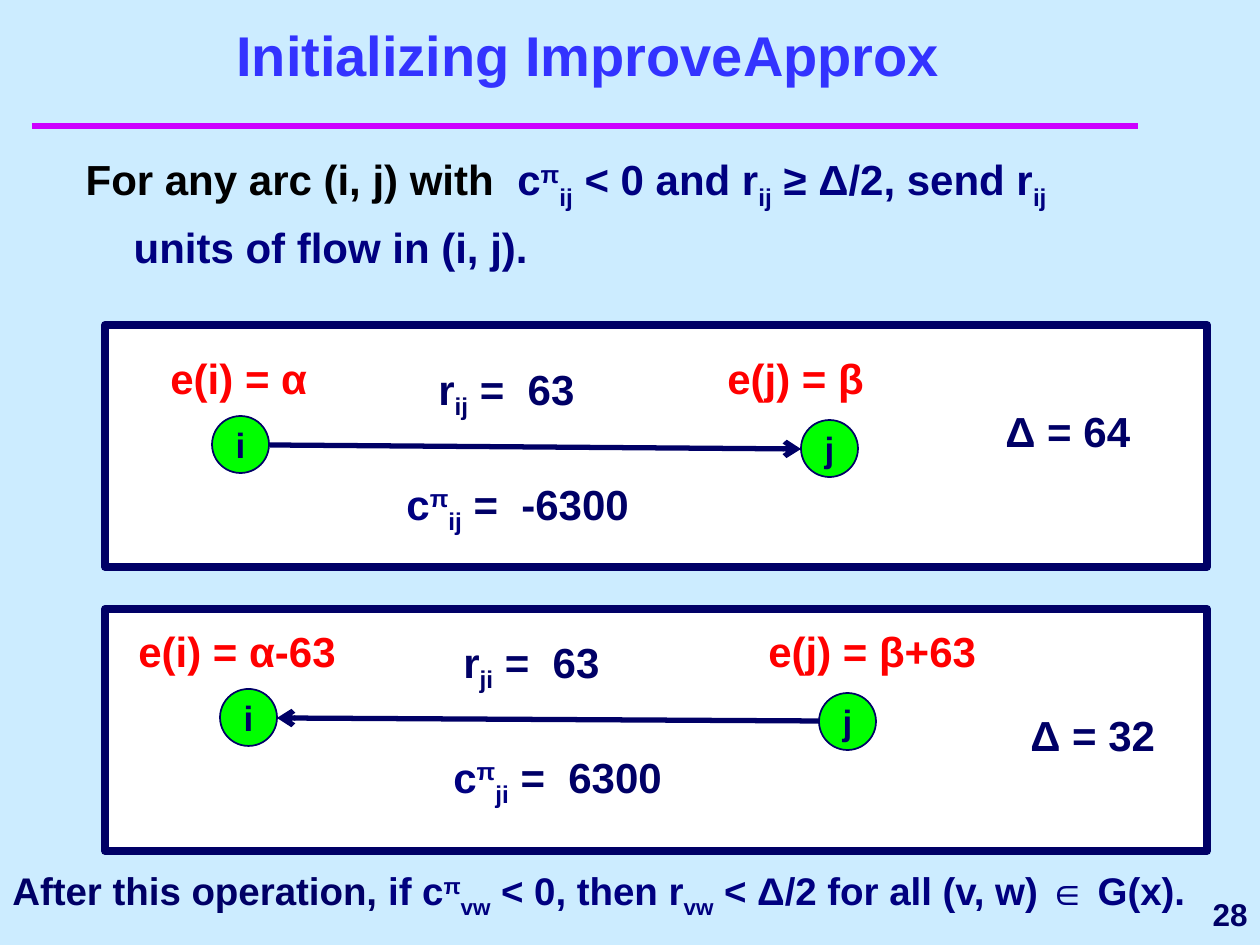
from lxml import etree
from pptx import Presentation
from pptx.dml.color import RGBColor
from pptx.enum.shapes import MSO_CONNECTOR, MSO_SHAPE
from pptx.enum.text import MSO_ANCHOR, MSO_AUTO_SIZE, PP_ALIGN
from pptx.oxml.ns import qn
from pptx.util import Emu, Pt

LEFT, CENTER, RIGHT = PP_ALIGN.LEFT, PP_ALIGN.CENTER, PP_ALIGN.RIGHT
TOP, MIDDLE, BOTTOM = MSO_ANCHOR.TOP, MSO_ANCHOR.MIDDLE, MSO_ANCHOR.BOTTOM
STRAIGHT, RECTANGLE, OVAL = MSO_CONNECTOR.STRAIGHT, MSO_SHAPE.RECTANGLE, MSO_SHAPE.OVAL
NO_AUTOFIT = MSO_AUTO_SIZE.NONE

FONT = "Arial"
SCALE = 914400 / 126
SUPER, SUB = 30, -25
NODE_SIZE = 57
COLORS = {
    "background": "CCECFF", "title": "3333FF", "rule": "CC00FF", "black": "000000",
    "navy": "000080", "ink": "000066", "red": "FF0000", "node": "00FF00", "white": "FFFFFF",
}

TITLE = [("Initializing ImproveApprox", "title")]
STATEMENT = [
    ("For any arc (i, j) with ", "black"), (" c", "navy"), ("π", "navy", SUPER),
    ("ij", "navy", SUB), (" < 0 and r", "navy"), ("ij", "navy", SUB),
    (" ≥ Δ/2, send r", "navy"), ("ij", "navy", SUB), (" units of flow in (i, j).", "navy"),
]
CONCLUSION = [
    ("After this operation, ", "ink"), ("if c", "navy"), ("π", "navy", SUPER),
    ("vw", "navy", SUB), (" < 0, then r", "navy"), ("vw", "navy", SUB),
    (" < Δ/2 for all (v, w) ∈ G(x).", "navy"),
]
PANELS = [
    {
        "box": (105, 325, 1102, 242),
        "nodes": [("i", 212, 416), ("j", 801, 420)],
        "arrow": (270, 445, 801, 449),
        "labels": [
            ((426, 357, 181, 71), [("r", "ink"), ("ij", "ink", SUB), (" =  63", "ink")]),
            ((394, 472, 268, 71), [("c", "navy"), ("π", "navy", SUPER),
                                   ("ij", "navy", SUB), (" =  -6300", "ink")]),
            ((993, 399, 193, 63), [("Δ = 64", "ink")]),
            ((158, 346, 193, 63), [("e(i) = α", "red")]),
            ((715, 346, 203, 63), [("e(j) = β", "red")]),
        ],
    },
    {
        "box": (105, 609, 1102, 242),
        "nodes": [("i", 220, 689), ("j", 819, 693)],
        "arrow": (819, 721, 277, 718),
        "labels": [
            ((451, 630, 179, 71), [("r", "ink"), ("ji", "ink", SUB), (" =  63", "ink")]),
            ((441, 745, 262, 71), [("c", "navy"), ("π", "navy", SUPER),
                                   ("ji", "navy", SUB), (" =  6300", "ink")]),
            ((1018, 703, 179, 63), [("Δ = 32", "ink")]),
            ((126, 619, 252, 63), [("e(i) = α-63", "red")]),
            ((756, 619, 242, 63), [("e(j) = β+63", "red")]),
        ],
    },
]


def px(*lengths):
    return [Emu(round(length * SCALE)) for length in lengths]


def color(name):
    return RGBColor.from_string(COLORS[name])


def write(shape, runs, size, align=LEFT, anchor=TOP, wrap=True):
    frame = shape.text_frame
    frame.auto_size = NO_AUTOFIT
    frame.word_wrap = wrap
    frame.vertical_anchor = anchor
    paragraph = frame.paragraphs[0]
    paragraph.alignment = align
    paragraph.space_before = Pt(0)
    paragraph.font.name = FONT
    paragraph.font.size = Pt(size)
    paragraph.font.bold = True
    for text, color_name, *baseline in runs:
        run = paragraph.add_run()
        run.text = text
        run.font.color.rgb = color(color_name)
        if baseline:
            run.font._element.set("baseline", str(baseline[0] * 1000))
    return paragraph


def place(shape, box):
    shape.left, shape.top, shape.width, shape.height = px(*box)


def add_text(shapes, box, runs, size, **layout):
    write(shapes.add_textbox(*px(*box)), runs, size, **layout)


def add_box(shapes, kind, box, fill, line_width):
    shape = shapes.add_shape(kind, *px(*box))
    shape.shadow.inherit = False
    shape.fill.solid()
    shape.fill.fore_color.rgb = color(fill)
    shape.line.color.rgb = color("ink")
    shape.line.width = Pt(line_width)
    return shape


def add_line(shapes, ends, color_name, width, arrow=False):
    line = shapes.add_connector(STRAIGHT, *px(*ends))
    line.line.color.rgb = color(color_name)
    line.line.width = Pt(width)
    if arrow:
        etree.SubElement(line.line._get_or_add_ln(), qn("a:tailEnd"), type="arrow")
    etree.SubElement(line._element.spPr, qn("a:effectLst"))


def add_panel(slide, panel):
    shapes = slide.shapes.add_group_shape().shapes
    add_box(shapes, RECTANGLE, panel["box"], "white", 4.5)
    for name, left, top in panel["nodes"]:
        node = add_box(shapes, OVAL, (left, top, NODE_SIZE, NODE_SIZE), "node", 1)
        write(node, [(name, "ink")], 20, align=CENTER, anchor=MIDDLE, wrap=False)
    add_line(shapes, panel["arrow"], "ink", 3, arrow=True)
    for box, runs in panel["labels"]:
        add_text(shapes, box, runs, 24)


def main():
    """Build the ImproveApprox initialization slide."""
    presentation = Presentation()
    presentation.slide_width, presentation.slide_height = px(1260, 945)
    slide = presentation.slides.add_slide(presentation.slide_layouts[1])
    slide.background.fill.solid()
    slide.background.fill.fore_color.rgb = color("background")

    add_line(slide.shapes, (32, 126, 1138, 126), "rule", 4)
    title, body = slide.placeholders
    place(title, (53, 21, 1071, 73))
    write(title, TITLE, 32, align=CENTER, anchor=BOTTOM)

    place(body, (73, 136, 1065, 179))
    properties = body.text_frame.paragraphs[0]._p.get_or_add_pPr()
    hanging = px(48)[0]
    properties.set("marL", str(hanging))
    properties.set("indent", str(-hanging))
    etree.SubElement(properties, qn("a:buNone"))
    write(body, STATEMENT, 24).line_spacing = 1.2

    for panel in PANELS:
        add_panel(slide, panel)
    add_text(slide.shapes, (0, 861, 1260, 66), CONCLUSION, 22)
    add_text(slide.shapes, (1018, 882, 242, 63), [("28", "ink")], 18,
             align=RIGHT, anchor=MIDDLE)
    presentation.save("out.pptx")


if __name__ == "__main__":
    main()
